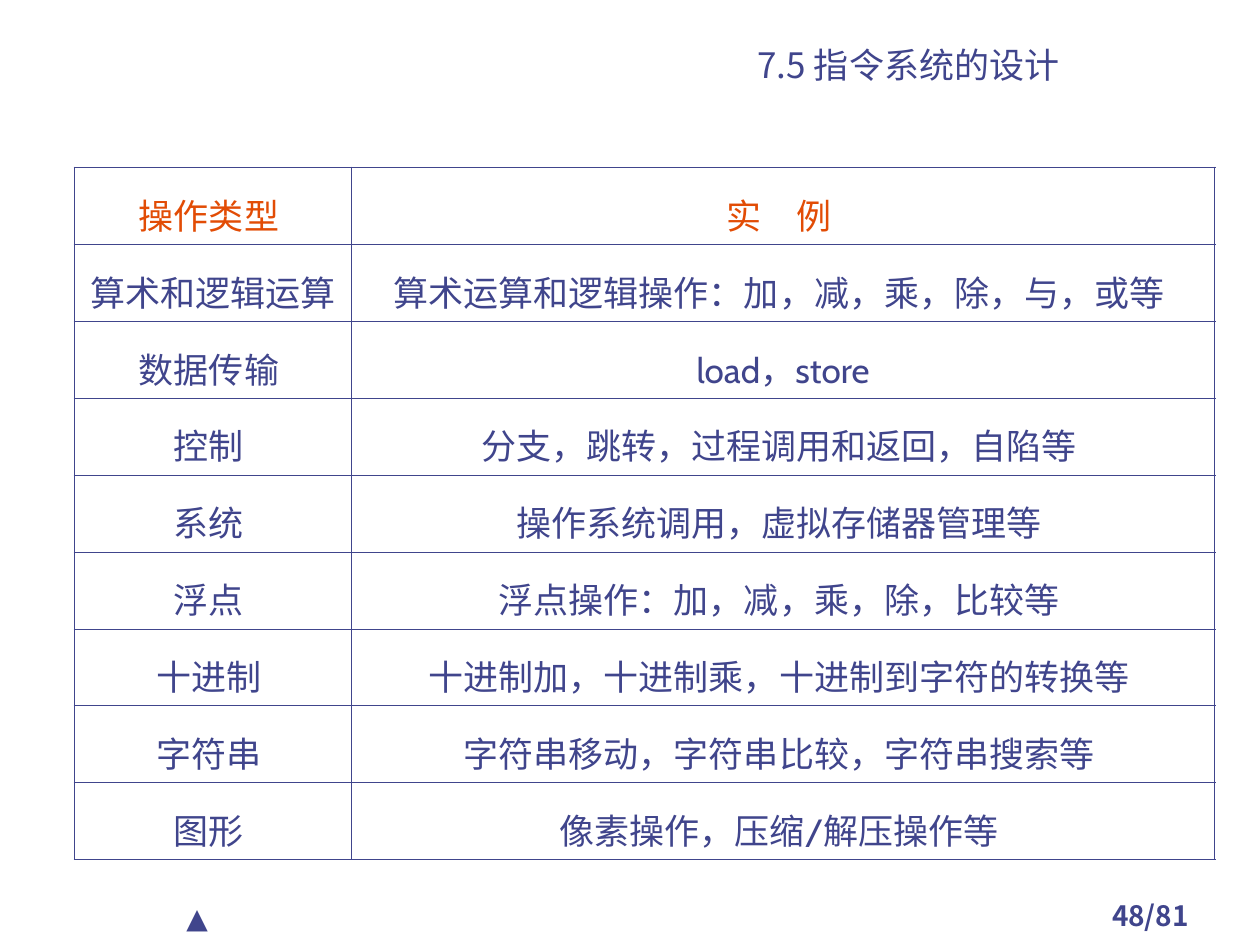
from lxml.etree import SubElement
from pptx import Presentation
from pptx.dml.color import RGBColor
from pptx.enum.text import MSO_ANCHOR, PP_ALIGN
from pptx.oxml.ns import qn
from pptx.util import Inches, Pt

INK, ACCENT = "40458C", "E24C05"
BODY, HEAD = "Cabin", "Noto Sans CJK SC"
THIN, THICK = 0.45, 1.08
COLS, ROW_H = (2.2, 6.85), 0.6
ROWS = [
    ("操作类型 ", "实　例 "),
    ("算术和逻辑运算 ", "算术运算和逻辑操作：加，减，乘，除，与，或等 "),
    ("数据传输 ", "load，store"),
    ("控制 ", "分支，跳转，过程调用和返回，自陷等 "),
    ("系统 ", "操作系统调用，虚拟存储器管理等 "),
    ("浮点 ", "浮点操作：加，减，乘，除，比较等 "),
    ("十进制 ", "十进制加，十进制乘，十进制到字符的转换等 "),
    ("字符串 ", "字符串移动，字符串比较，字符串搜索等 "),
    ("图形 ", "像素操作，压缩/解压操作等 "),
]
LABELS = [
    ("48/81", (8.42, 7.08, 1.42, 0.33), 16, HEAD, True, PP_ALIGN.CENTER, MSO_ANCHOR.TOP),
    ("▲", (1.38, 7.1, 1.42, 0.37), 16, BODY, False, PP_ALIGN.LEFT, MSO_ANCHOR.TOP),
    ("7.5 指令系统的设计", (4.42, 0.31, 5.58, 0.42), 20, HEAD, False, PP_ALIGN.CENTER, MSO_ANCHOR.BOTTOM),
]


def rgb(value):
    """Turn a hex string into a colour."""
    return RGBColor.from_string(value)


def write(tf, text, size, font, color=INK, bold=False, align=PP_ALIGN.CENTER):
    """Write one aligned run into a text frame."""
    p = tf.paragraphs[0]
    p.alignment = align
    r = p.add_run()
    r.text = text
    r.font.size, r.font.bold, r.font.name = Pt(size), bold, font
    r.font.color.rgb = rgb(color)
    SubElement(r.font._element, qn("a:ea")).set("typeface", font)
    return p


def set_borders(cell, widths):
    """Draw the left, right, top and bottom borders of a cell."""
    tc_pr = cell._tc.get_or_add_tcPr()
    for side, width in zip("LRTB", widths):
        ln = SubElement(tc_pr, qn(f"a:ln{side}"), w=str(int(Pt(width))))
        SubElement(SubElement(ln, qn("a:solidFill")), qn("a:srgbClr")).set("val", INK)


def add_label(s, text, box, size, font, bold, align, anchor):
    """Add a text box with one line of text."""
    tf = s.shapes.add_textbox(*map(Inches, box)).text_frame
    tf.word_wrap, tf.vertical_anchor = True, anchor
    write(tf, text, size, font, bold=bold, align=align)


def add_operations(s):
    """Add the table of operation types and examples."""
    frame = s.shapes.add_table(len(ROWS), len(COLS), Inches(0.59), Inches(1.33),
                               Inches(sum(COLS)), Inches(ROW_H * len(ROWS)))
    table = frame.table
    table.first_row = table.horz_banding = False
    for col, width in zip(table.columns, COLS):
        col.width = Inches(width)
    for i, row in enumerate(ROWS):
        table.rows[i].height = Inches(ROW_H)
        for j, text in enumerate(row):
            cell = table.cell(i, j)
            cell.margin_top = Inches(0.12)
            p = write(cell.text_frame, text, 20, BODY, INK if i else ACCENT)
            p.line_spacing = 1.3
            outer = (j == 0, j == len(COLS) - 1, i == 0, i == len(ROWS) - 1)
            set_borders(cell, [THICK if edge else THIN for edge in outer])
            cell.fill.background()


def main():
    """Build the slide and save it."""
    prs = Presentation()
    prs.slide_width, prs.slide_height = Inches(10), Inches(7.5)
    s = prs.slides.add_slide(prs.slide_layouts[6])
    add_operations(s)
    for label in LABELS:
        add_label(s, *label)
    prs.save("out.pptx")


if __name__ == "__main__":
    main()
